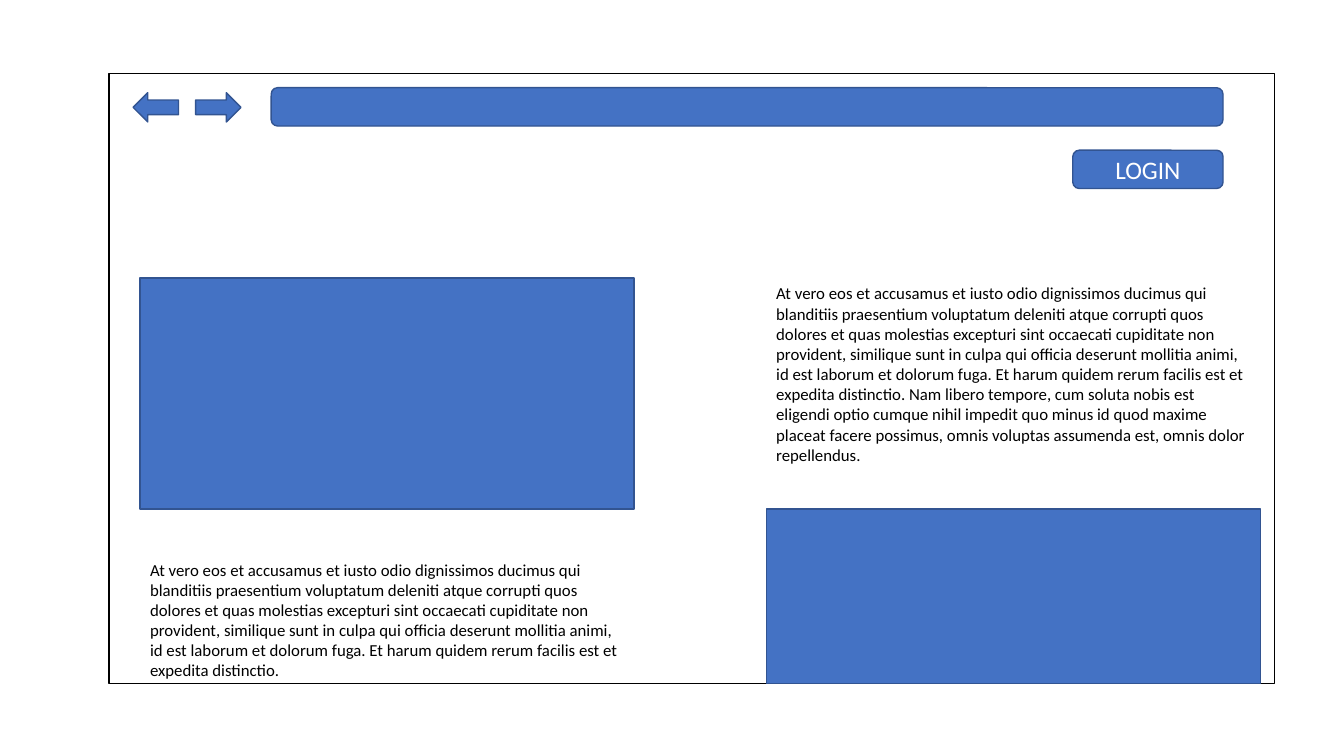
from pptx import Presentation
from pptx.dml.color import RGBColor
from pptx.enum.shapes import MSO_SHAPE
from pptx.enum.text import MSO_ANCHOR, MSO_AUTO_SIZE, PP_ALIGN
from pptx.util import Inches, Pt

RECTANGLE = MSO_SHAPE.RECTANGLE
ROUNDED = MSO_SHAPE.ROUNDED_RECTANGLE
ARROW = MSO_SHAPE.RIGHT_ARROW
MIDDLE = MSO_ANCHOR.MIDDLE
TOP = MSO_ANCHOR.TOP
CENTER = PP_ALIGN.CENTER
LEFT = PP_ALIGN.LEFT
FIT_SHAPE = MSO_AUTO_SIZE.SHAPE_TO_FIT_TEXT

BLUE, NAVY, BLACK, WHITE = "4472C4", "325491", "000000", "FFFFFF"
SHORT_TEXT = (
    "At vero eos et accusamus et iusto odio dignissimos ducimus qui blanditiis "
    "praesentium voluptatum deleniti atque corrupti quos dolores et quas molestias "
    "excepturi sint occaecati cupiditate non provident, similique sunt in culpa qui "
    "officia deserunt mollitia animi, id est laborum et dolorum fuga. Et harum quidem "
    "rerum facilis est et expedita distinctio."
)
LONG_TEXT = SHORT_TEXT + (
    " Nam libero tempore, cum soluta nobis est eligendi optio cumque nihil impedit quo "
    "minus id quod maxime placeat facere possimus, omnis voluptas assumenda est, omnis "
    "dolor repellendus."
)
LOGIN = "LOGIN"

WINDOW = (1.08, 0.73, 11.56, 6.05)
COLUMNS = (1.39, 7.6)
COLUMN_WIDTH = 4.9
ROWS = (2.76, 5.05)
WINDOW_BOTTOM = WINDOW[1] + WINDOW[3]
BAR_LEFT, BAR_TOP, BAR_WIDTH, BAR_HEIGHT = 2.69, 0.87, 9.44, 0.38
LOGIN_TOP, LOGIN_WIDTH = 1.49, 1.49
ARROWS = ((1.94, 0), (1.32, 180))
ARROW_TOP, ARROW_WIDTH, ARROW_HEIGHT = 0.92, 0.45, 0.29


def color(value):
    return RGBColor.from_string(value)


def add_block(page, kind, place, fill=BLUE, line=NAVY, rotation=0):
    block = page.shapes.add_shape(kind, *map(Inches, place))
    block.shadow.inherit = False
    block.fill.solid()
    block.fill.fore_color.rgb = color(fill)
    block.line.color.rgb = color(line)
    block.line.width = Pt(1)
    block.rotation = rotation
    return block


def write(box, text, size=12, ink=BLACK, align=LEFT, anchor=TOP):
    frame = box.text_frame
    frame.word_wrap = True
    frame.vertical_anchor = anchor
    para = frame.paragraphs[0]
    para.alignment = align
    span = para.add_run()
    span.text = text
    span.font.name = "Calibri"
    span.font.size = Pt(size)
    span.font.color.rgb = color(ink)


def add_text(page, place, text):
    box = page.shapes.add_textbox(*map(Inches, place))
    write(box, text)
    box.text_frame.auto_size = FIT_SHAPE


def main():
    deck = Presentation()
    deck.slide_width, deck.slide_height = Inches(13.33), Inches(7.5)
    page = deck.slides.add_slide(deck.slide_layouts[6])

    add_block(page, RECTANGLE, WINDOW, fill=WHITE, line=BLACK)
    for left, rotation in ARROWS:
        add_block(page, ARROW, (left, ARROW_TOP, ARROW_WIDTH, ARROW_HEIGHT), rotation=rotation)
    add_block(page, ROUNDED, (BAR_LEFT, BAR_TOP, BAR_WIDTH, BAR_HEIGHT))

    for left, top, bottom in zip(COLUMNS, ROWS, (ROWS[1], WINDOW_BOTTOM)):
        add_block(page, RECTANGLE, (left, top, COLUMN_WIDTH, bottom - top))
    add_text(page, (COLUMNS[1], ROWS[0], COLUMN_WIDTH, 1.92), LONG_TEXT)
    add_text(page, (COLUMNS[0], 5.5, COLUMN_WIDTH, 1.31), SHORT_TEXT)

    login_left = BAR_LEFT + BAR_WIDTH - LOGIN_WIDTH
    button = add_block(page, ROUNDED, (login_left, LOGIN_TOP, LOGIN_WIDTH, BAR_HEIGHT))
    write(button, LOGIN, size=18, ink=WHITE, align=CENTER, anchor=MIDDLE)

    deck.save("out.pptx")


if __name__ == "__main__":
    main()
